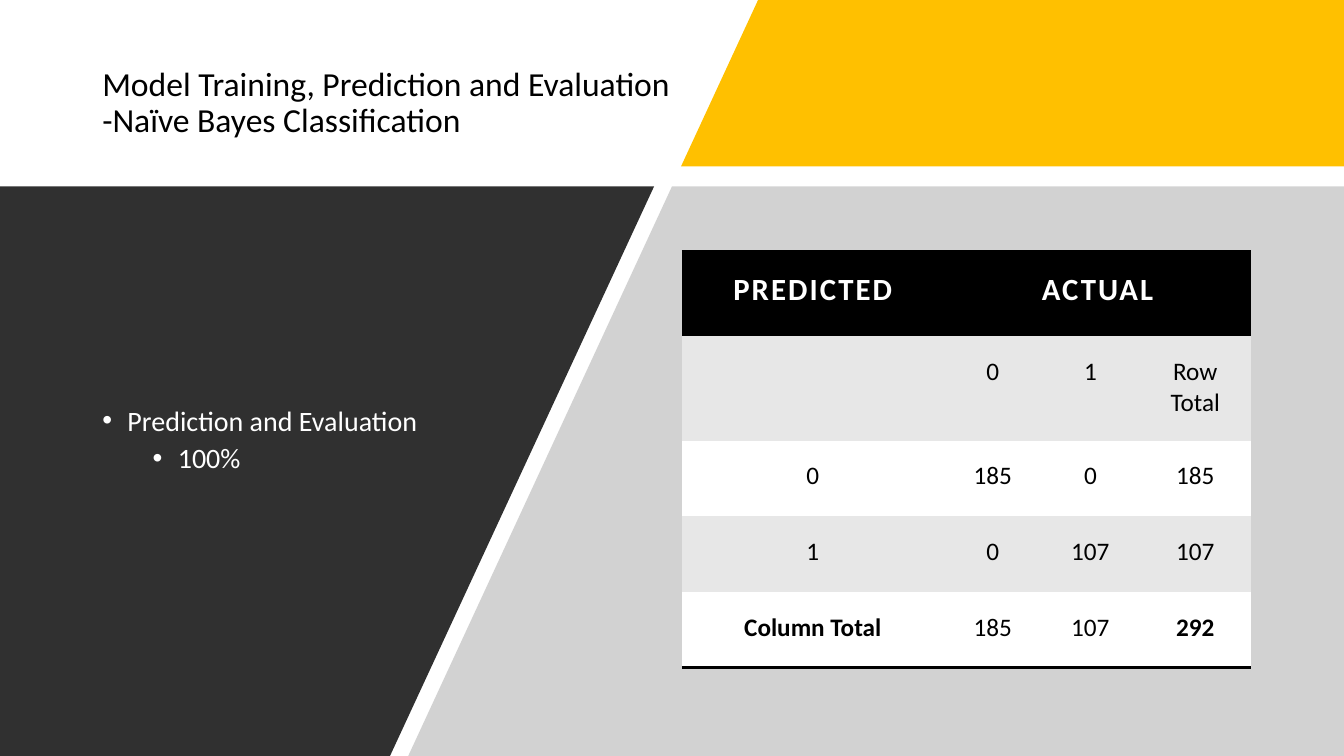
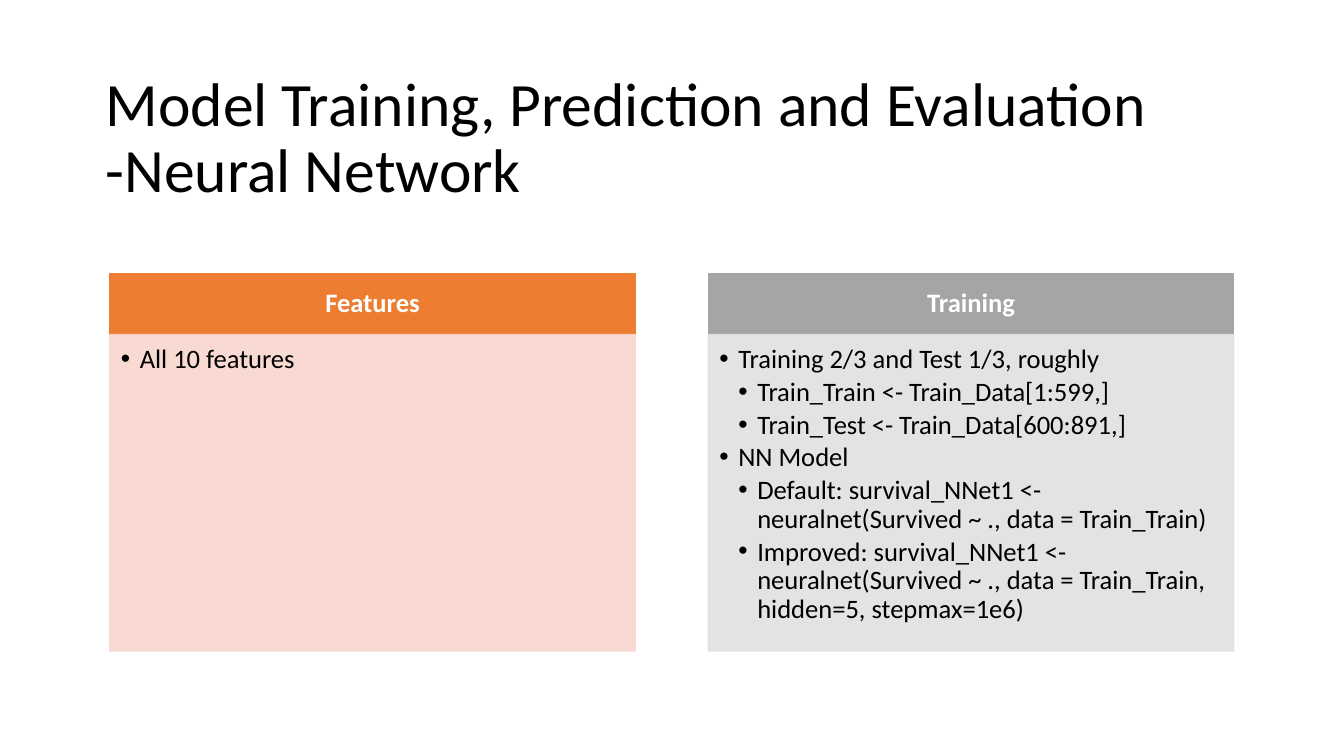
"""Build two slides on model training, one for Naïve Bayes and one for a neural network."""
from dataclasses import dataclass, field
from typing import Any

from lxml.etree import SubElement
from pptx import Presentation
from pptx.dml.color import RGBColor
from pptx.enum.shapes import MSO_SHAPE
from pptx.enum.text import MSO_ANCHOR, PP_ALIGN
from pptx.oxml.ns import qn
from pptx.util import Pt

BLACK, WHITE, GREY = "000000", "FFFFFF", "E7E7E7"
FONT = "Calibri"
WIDE, HIGH = 960, 540
FLOOR = 133.2
TITLE = "Model Training, Prediction and Evaluation\n-"
INSET = (7.2, 3.6, 7.2, 3.6)
SIDES = ("left", "top", "right", "bottom")


@dataclass
class Line:
    text: str
    indent: float = 0
    hang: float = 0
    level: int = 0
    before: float = 0
    after: float = 0


@dataclass
class Style:
    size: float
    color: str = BLACK
    bold: bool = False
    track: int = 0
    center: bool = False
    middle: bool = True
    spacing: float = 0.9
    inset: tuple = INSET


@dataclass
class Panel:
    head: str
    left: float
    dark: str
    light: str
    lines: list = field(default_factory=list)


def tint(fill: Any, color: str, alpha: int = 100) -> None:
    fill.solid()
    fill.fore_color.rgb = RGBColor.from_string(color)
    if alpha < 100:
        tone = fill._xPr.find(qn("a:solidFill"))[0]
        SubElement(tone, qn("a:alpha"), val=str(alpha * 1000))


def write(frame: Any, lines: list[Line], style: Style) -> None:
    for index, line in enumerate(lines):
        para = frame.paragraphs[0] if index == 0 else frame.add_paragraph()
        para.text = line.text
        para.level = line.level
        form = {
            "alignment": PP_ALIGN.CENTER if style.center else PP_ALIGN.LEFT,
            "line_spacing": style.spacing,
            "space_before": Pt(line.before),
            "space_after": Pt(line.after),
        }
        for name, value in form.items():
            setattr(para, name, value)
        if line.hang:
            props = para._p.get_or_add_pPr()
            props.set("marL", str(Pt(line.indent)))
            props.set("indent", str(Pt(-line.hang)))
            SubElement(props, qn("a:buFont"), typeface="Arial")
            SubElement(props, qn("a:buChar"), char="•")
        for run in para.runs:
            look = {"name": FONT, "size": Pt(style.size), "bold": style.bold}
            for name, value in look.items():
                setattr(run.font, name, value)
            tint(run.font.fill, style.color)
            if style.track:
                run._r.get_or_add_rPr().set("spc", str(style.track))


def fit(target: Any, style: Style) -> None:
    for side, value in zip(SIDES, style.inset):
        setattr(target, f"margin_{side}", Pt(value))
    target.vertical_anchor = MSO_ANCHOR.MIDDLE if style.middle else MSO_ANCHOR.TOP


def label(slide: Any, area: tuple, lines: list[Line], style: Style) -> None:
    frame = slide.shapes.add_textbox(*map(Pt, area)).text_frame
    frame.word_wrap = True
    fit(frame, style)
    write(frame, lines, style)


def block(slide: Any, area: tuple, color: str, alpha: int,
          lines: list[Line], style: Style) -> None:
    shape = slide.shapes.add_shape(MSO_SHAPE.RECTANGLE, *map(Pt, area))
    shape.shadow.inherit = False
    tint(shape.fill, color, alpha)
    tint(shape.line.fill, color, alpha)
    shape.line.width = Pt(1)
    shape.text_frame.word_wrap = True
    fit(shape.text_frame, style)
    write(shape.text_frame, lines, style)


def plane(slide: Any, points: list[tuple], color: str, alpha: int = 100) -> None:
    first, *rest = [(Pt(x), Pt(y)) for x, y in points]
    maker = slide.shapes.build_freeform(*first)
    maker.add_line_segments(rest, close=True)
    shape = maker.convert_to_shape()
    shape.shadow.inherit = False
    tint(shape.fill, color, alpha)
    shape.line.fill.background()


def border(cell: Any, edges: str) -> None:
    props = cell._tc.get_or_add_tcPr()
    for side in "LRTB":
        rule = SubElement(props, qn(f"a:ln{side}"), w=str(Pt(2)))
        if side in edges:
            solid = SubElement(rule, qn("a:solidFill"))
            SubElement(solid, qn("a:srgbClr"), val=BLACK)
        else:
            SubElement(rule, qn("a:noFill"))


def grid(slide: Any, left: float, top: float) -> None:
    rows = [
        ["PREDICTED", "ACTUAL", "", ""],
        ["", "0", "1", "Row Total"],
        ["0", "185", "0", "185"],
        ["1", "0", "107", "107"],
        ["Column Total", "185", "107", "292"],
    ]
    widths, heights = [187.2, 69.8, 69.8, 80], [61, 74.6, 54, 54, 54]
    table = slide.shapes.add_table(
        len(rows), len(widths), Pt(left), Pt(top),
        Pt(sum(widths)), Pt(sum(heights))).table
    table.first_row = table.horz_banding = False
    for column, width in zip(table.columns, widths):
        column.width = Pt(width)
    for row, height in zip(table.rows, heights):
        row.height = Pt(height)
    table.cell(0, 1).merge(table.cell(0, 3))
    last = len(rows) - 1
    pad = (14.4,) * 4
    for i, row in enumerate(rows):
        for j, text in enumerate(row):
            cell = table.cell(i, j)
            strong = text in ("Column Total", "292")
            style = Style(18, bold=strong, center=True, middle=False,
                          spacing=1.0, inset=pad)
            if i == 0:
                style = Style(22, WHITE, True, 150, True, False, 1.0, pad)
            border(cell, "TB" if i == 0 else "B" if i == last else "")
            tint(cell.fill, BLACK if i == 0 else GREY if i % 2 else WHITE)
            fit(cell, style)
            if text:
                write(cell.text_frame, [Line(text)], style)


def bayes(slide: Any) -> None:
    label(slide, (66, 29, 420.5, 90),
          [Line(TITLE + "Naïve Bayes Classification")], Style(24))
    plane(slide, [(541.5, 0), (WIDE, 0), (WIDE, 118.8), (486.5, 118.8)], "FFC000")
    plane(slide, [(480, FLOOR), (WIDE, FLOOR), (WIDE, HIGH), (291.6, HIGH)],
          "A6A6A6", 50)
    plane(slide, [(0, FLOOR), (467.2, FLOOR), (278.6, HIGH), (0, HIGH)], "303030")
    label(slide, (66, 171.4, 283.7, 286.6),
          [Line("Prediction and Evaluation", 18, 18),
           Line("100%", 54, 18, 1, before=5)], Style(20, WHITE))
    grid(slide, 487, 179.3)


def neural(slide: Any) -> None:
    label(slide, (68.4, 47.5, 823, 104.4), [Line(TITLE + "Neural Network")], Style(44))
    items = [
        (1, "Training 2/3 and Test 1/3, roughly"),
        (2, "Train_Train <- Train_Data[1:599,]"),
        (2, "Train_Test <- Train_Data[600:891,]"),
        (1, "NN Model"),
        (2, "Default: survival_NNet1 <- neuralnet(Survived ~ ., data = Train_Train)"),
        (2, "Improved: survival_NNet1 <- neuralnet(Survived ~ ., data = Train_Train, "
            "hidden=5, stepmax=1e6)"),
    ]
    panels = [
        Panel("Features", 78.5, "ED7D31", "F8D7CE", [(1, "All 10 features")]),
        Panel("Training", 506, "A5A5A5", "E1E1E1", items),
    ]
    top, width, band = 195.6, 375.3, 43.4
    title = Style(19, WHITE, True, center=True, inset=(10.8, 5.8, 10.8, 5.8))
    body = Style(19, middle=False, inset=(7.9, 7.9, 10.8, 12.2))
    for panel in panels:
        lines = [Line(text, 13.5 * level, 13.5, level, after=2.85)
                 for level, text in panel.lines]
        block(slide, (panel.left, top, width, band), panel.dark, 100,
              [Line(panel.head)], title)
        block(slide, (panel.left, top + band, width, 226), panel.light, 90,
              lines, body)


def main() -> None:
    deck = Presentation()
    deck.slide_width, deck.slide_height = Pt(WIDE), Pt(HIGH)
    for draw in (bayes, neural):
        draw(deck.slides.add_slide(deck.slide_layouts[6]))
    deck.save("out.pptx")


if __name__ == "__main__":
    main()
